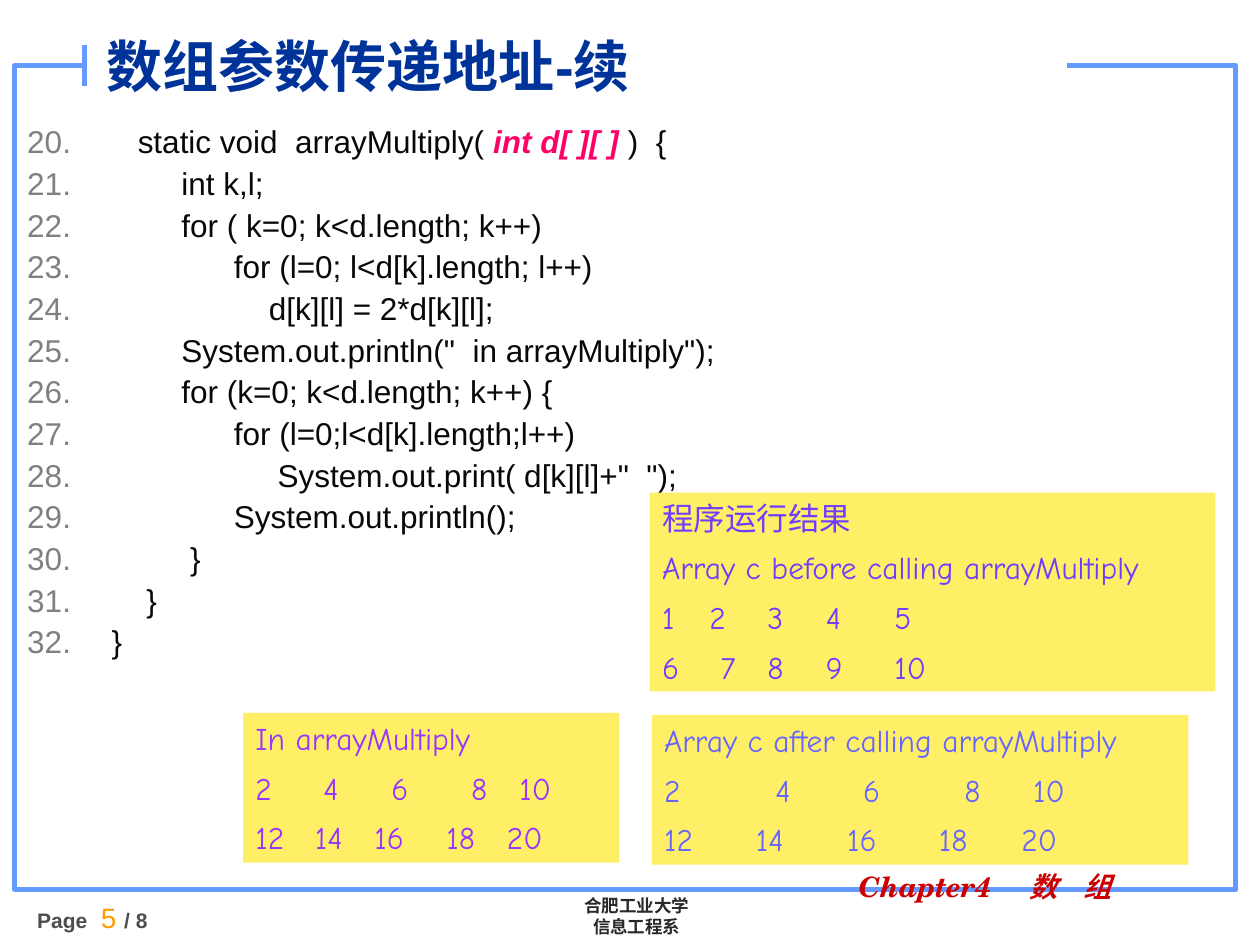
from lxml.etree import SubElement
from pptx import Presentation
from pptx.dml.color import RGBColor
from pptx.enum.shapes import MSO_CONNECTOR, MSO_SHAPE
from pptx.enum.text import MSO_ANCHOR, PP_ALIGN
from pptx.oxml.ns import qn
from pptx.util import Cm, Pt

WHITE = RGBColor(0xFF, 0xFF, 0xFF)
BLUE = RGBColor(0x66, 0x99, 0xFF)
NAVY = RGBColor(0x00, 0x33, 0x99)
BLACK = RGBColor(0x08, 0x08, 0x08)
PINK = RGBColor(0xFF, 0x00, 0x66)
RED = RGBColor(0xCC, 0x00, 0x00)
DARK = RGBColor(0x29, 0x29, 0x29)
SLATE = RGBColor(0x4D, 0x4D, 0x4D)
GRAY = RGBColor(0x80, 0x80, 0x80)
ORANGE = RGBColor(0xFF, 0x99, 0x00)
YELLOW = RGBColor(0xFF, 0xEF, 0x66)
VIOLET = RGBColor(0x70, 0x3D, 0xFF)
PURPLE = RGBColor(0x99, 0x33, 0xFF)
INDIGO = RGBColor(0x66, 0x66, 0xFF)

SANS, HAN = "Arial", "Noto Sans CJK SC"
COMIC, SERIF = "Comic Neue", "TeX Gyre Schola"

FIRST = 20
CODE = [
    "        int k,l;",
    "        for ( k=0; k<d.length; k++)",
    "              for (l=0; l<d[k].length; l++)",
    "                  d[k][l] = 2*d[k][l];",
    '        System.out.println("  in arrayMultiply");',
    "        for (k=0; k<d.length; k++) {",
    "              for (l=0;l<d[k].length;l++)",
    '                   System.out.print( d[k][l]+"  ");',
    "              System.out.println();",
    "         }",
    "    }",
    "}",
]

# Each panel: box, colour, lines of (text, tab stops in cm)
PANELS = [
    ((13.1, 9.93, 11.4, 4.01), VIOLET, [
        ("程序运行结果", ()),
        ("Array c before calling arrayMultiply", ()),
        ("1\t2\t3\t4\t5", (0.95, 2.12, 3.3, 4.68)),
        ("6\t7\t8\t9\t10", (1.18, 2.12, 3.3, 4.68))]),
    ((4.9, 14.37, 7.59, 3.02), PURPLE, [
        ("In arrayMultiply", ()),
        ("2\t4\t6\t8\t10", (1.37, 2.74, 4.35, 5.32)),
        ("12\t14\t16\t18\t20", (1.2, 2.4, 3.85, 5.07))]),
    ((13.14, 14.41, 10.82, 3.02), INDIGO, [
        ("Array c after calling arrayMultiply", ()),
        ("2\t4\t6\t8\t10", (2.24, 4.01, 6.05, 7.44)),
        ("12\t14\t16\t18\t20", (1.85, 3.69, 5.54, 7.2))]),
]


def add_run(para, text, size, color, face=SANS, bold=False, italic=False):
    run = para.add_run()
    run.text = text
    font = run.font
    font.size, font.name = Pt(size), face
    font.bold, font.italic = bold, italic
    font.color.rgb = color
    SubElement(run._r.get_or_add_rPr(), qn("a:ea"), typeface=HAN)


def add_tabs(para, stops):
    tabs = SubElement(para._p.get_or_add_pPr(), qn("a:tabLst"))
    for stop in stops:
        SubElement(tabs, qn("a:tab"), pos=str(Cm(stop)), algn="l")


def add_number(para):
    """Number the paragraph as a code line, with a hanging indent."""
    props = para._p.get_or_add_pPr()
    props.set("marL", str(Cm(1.7)))
    props.set("indent", str(Cm(-1.7)))
    tint = SubElement(props, qn("a:buClr"))
    SubElement(tint, qn("a:srgbClr"), val=str(GRAY))
    SubElement(props, qn("a:buAutoNum"), type="arabicPeriod", startAt=str(FIRST))


def next_para(frame, index, gap=0):
    if index == 0:
        return frame.paragraphs[0]
    para = frame.add_paragraph()
    para.space_before = Pt(gap)
    return para


def add_text(slide, box):
    frame = slide.shapes.add_textbox(*map(Cm, box)).text_frame
    frame.word_wrap = True
    return frame


def add_rect(slide, box, fill=None, line=None):
    rect = slide.shapes.add_shape(MSO_SHAPE.RECTANGLE, *map(Cm, box))
    rect.shadow.inherit = False
    if fill is None:
        rect.fill.background()
    else:
        rect.fill.solid()
        rect.fill.fore_color.rgb = fill
    if line is None:
        rect.line.fill.background()
    else:
        rect.line.color.rgb = line
        rect.line.width = Pt(3)
    return rect


def add_frame(slide):
    add_rect(slide, (0.3, 1.32, 24.61, 16.61), line=BLUE)
    add_rect(slide, (1.7, 0.71, 19.81, 0.89), fill=WHITE)
    bar = slide.shapes.add_connector(
        MSO_CONNECTOR.STRAIGHT, Cm(1.7), Cm(0.91), Cm(1.7), Cm(1.73))
    bar.line.color.rgb = BLUE
    bar.line.width = Pt(3)
    SubElement(bar._element.spPr, qn("a:effectLst"))


def add_footer(slide):
    frame = add_text(slide, (9.61, 17.91, 6.45, 1.12))
    for i, name in enumerate(("合肥工业大学", "信息工程系")):
        para = next_para(frame, i)
        para.alignment = PP_ALIGN.CENTER
        add_run(para, name, 10, DARK, HAN, bold=True)

    para = add_text(slide, (0.5, 18.03, 4.6, 0.95)).paragraphs[0]
    add_run(para, "Page ", 12, SLATE, bold=True)
    add_run(para, " 5 ", 16, ORANGE)
    add_run(para, "/ 8", 12, SLATE, bold=True)

    para = add_text(slide, (17.06, 17.4, 7.13, 0.89)).paragraphs[0]
    add_tabs(para, (3.45, 4.54))
    add_run(para, "Chapter4\t数\t组", 16, RED, SERIF, bold=True, italic=True)


def add_title(slide):
    frame = add_text(slide, (1.9, 0.3, 19.61, 2.03))
    frame.vertical_anchor = MSO_ANCHOR.MIDDLE
    add_run(frame.paragraphs[0], "数组参数传递地址-续", 32, NAVY, bold=True)


def add_code(slide):
    frame = add_text(slide, (0.3, 2.34, 24.61, 15.55))
    head = next_para(frame, 0)
    add_number(head)
    add_run(head, "   static void  arrayMultiply( ", 18, BLACK)
    add_run(head, "int d[ ][ ]", 18, PINK, bold=True, italic=True)
    add_run(head, " )  {", 18, BLACK)
    for i, line in enumerate(CODE, 1):
        para = next_para(frame, i, 2.2)
        add_number(para)
        add_run(para, line, 18, BLACK)


def add_panel(slide, box, color, lines):
    frame = add_rect(slide, box, fill=YELLOW).text_frame
    frame.word_wrap = True
    frame.vertical_anchor = MSO_ANCHOR.TOP
    for i, (text, stops) in enumerate(lines):
        para = next_para(frame, i, 6.8)
        para.alignment = PP_ALIGN.LEFT
        if stops:
            add_tabs(para, stops)
        add_run(para, text, 18, color, COMIC)


def main():
    deck = Presentation()
    deck.slide_width, deck.slide_height = Cm(25.4), Cm(19.05)
    slide = deck.slides.add_slide(deck.slide_layouts[6])
    add_frame(slide)
    add_footer(slide)
    add_title(slide)
    add_code(slide)
    for box, color, lines in PANELS:
        add_panel(slide, box, color, lines)
    deck.save("out.pptx")


if __name__ == "__main__":
    main()
